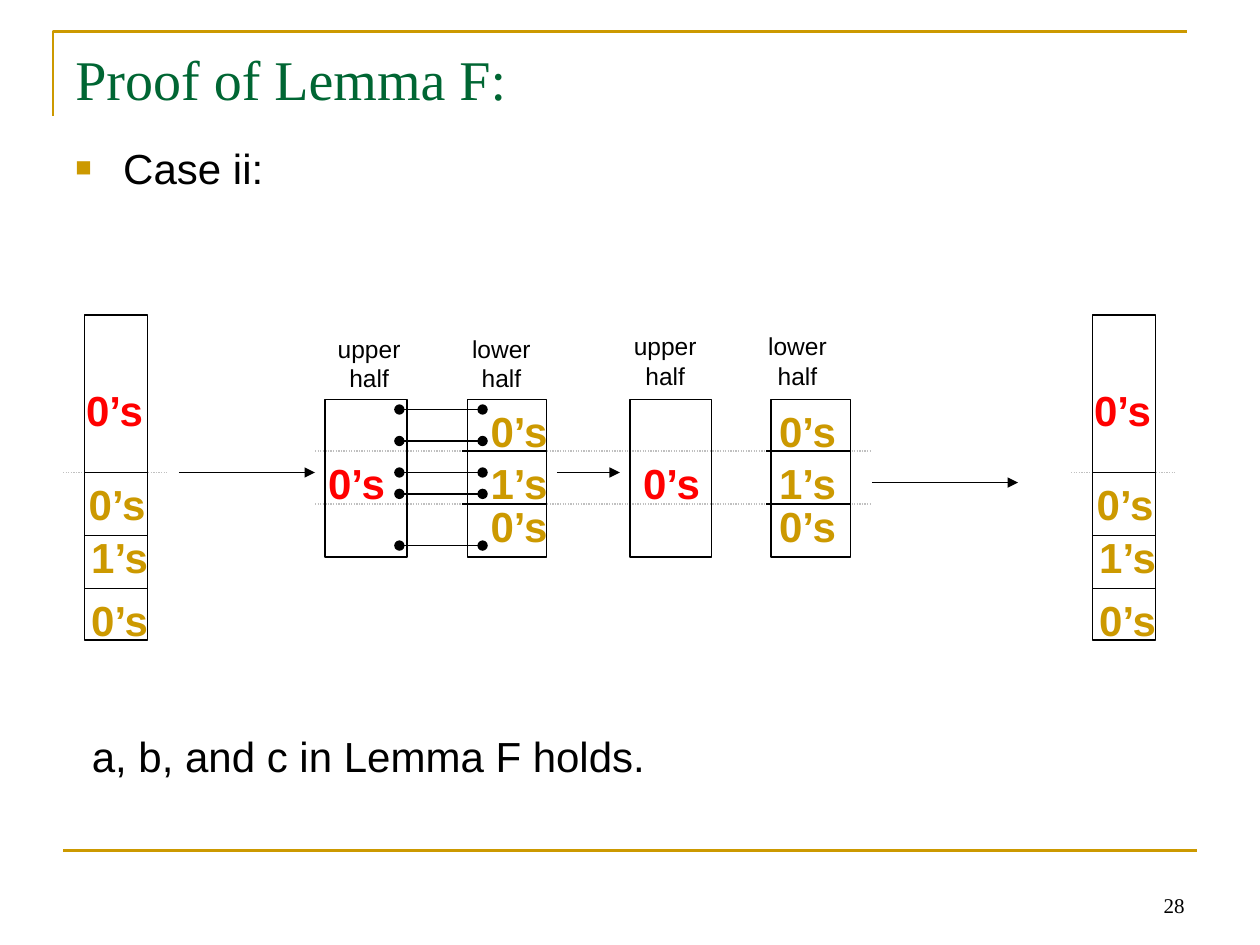
from dataclasses import dataclass

from lxml import etree
from pptx import Presentation
from pptx.dml.color import RGBColor
from pptx.enum.dml import MSO_LINE
from pptx.enum.shapes import MSO_CONNECTOR, MSO_SHAPE
from pptx.enum.text import MSO_ANCHOR, MSO_AUTO_SIZE, PP_ALIGN
from pptx.oxml.ns import qn
from pptx.util import Inches, Pt

STRAIGHT = MSO_CONNECTOR.STRAIGHT
RECT = MSO_SHAPE.RECTANGLE
DOTS = MSO_LINE.ROUND_DOT
TOP, BOTTOM = MSO_ANCHOR.TOP, MSO_ANCHOR.BOTTOM
GROW = MSO_AUTO_SIZE.SHAPE_TO_FIT_TEXT
LEFT, MID, RIGHT = PP_ALIGN.LEFT, PP_ALIGN.CENTER, PP_ALIGN.RIGHT


@dataclass(frozen=True)
class Theme:
    gold: str = "CC9900"
    green: str = "006633"
    red: str = "FF0000"
    black: str = "000000"
    gray: str = "C0C0C0"
    sans: str = "Arial"
    serif: str = "Times New Roman"
    title: int = 32
    text: int = 24
    label: int = 14
    number: int = 12
    thin: float = 0.75
    thick: float = 1.5


@dataclass(frozen=True)
class Mark:
    """A bold run label, placed relative to its column."""
    text: str
    x: float
    y: float
    color: str


@dataclass(frozen=True)
class Column:
    x: float
    y: float
    width: float
    height: float
    marks: tuple[Mark, ...]
    cuts: tuple[float, ...] = ()
    over: float = 0  # how far the cuts reach out on the left
    head: str = ""
    head_x: float = 0
    head_y: float = 0


THEME = Theme()

FULL = (Mark("0’s", -0.09, 3, THEME.red), Mark("0’s", -0.07, 3.75, THEME.gold),
        Mark("1’s", -0.05, 4.17, THEME.gold), Mark("0’s", -0.05, 4.67, THEME.gold))
FULL_CUTS = (3.75, 4.25, 4.67)
HALF_CUTS = (3.58, 4)


def full(x: float) -> Column:
    return Column(x, 2.5, 0.5, 2.58, FULL, FULL_CUTS)


def upper(x: float, shift: float, head_x: float, head_y: float) -> Column:
    marks = (Mark("0’s", shift, 3.58, THEME.red),)
    return Column(x, 3.17, 0.65, 1.25, marks, head="upper",
                  head_x=head_x, head_y=head_y)


def lower(x: float, shift: float, head_x: float, head_y: float) -> Column:
    rows = (("0’s", 3.17), ("1’s", 3.58), ("0’s", 3.92))
    marks = tuple(Mark(text, shift, y, THEME.gold) for text, y in rows)
    return Column(x, 3.17, 0.63, 1.25, marks, HALF_CUTS, 0.04, "lower",
                  head_x, head_y)


COLUMNS = (full(0.67), upper(2.58, -0.08, 2.58, 2.6), lower(3.71, 0.08, 3.63, 2.6),
           upper(5, 0, 4.93, 2.58), lower(6.12, -0.04, 5.98, 2.58), full(8.67))
ARROWS = ((1.42, 2.5, 3.75), (4.42, 4.92, 3.75), (6.92, 8.08, 3.83))
GUIDES = ((0.5, 1.33, 3.75), (8.5, 9.33, 3.75), (2.5, 6.92, 3.58), (2.5, 6.92, 4))
PAIRS = (3.25, 3.5, 3.75, 3.92, 4.33)


def paint(line, color: str, width: float) -> None:
    line.color.rgb = RGBColor.from_string(color)
    line.width = Pt(width)


def add_line(slide, x1: float, x2: float, y: float, color: str = THEME.black,
             width: float = THEME.thin, head: str = "", tail: str = "",
             dash=None) -> None:
    """Draw a level line; head and tail name the end marks."""
    line = slide.shapes.add_connector(STRAIGHT, Inches(x1), Inches(y),
                                      Inches(x2), Inches(y))
    paint(line.line, color, width)
    if dash is not None:
        line.line.dash_style = dash
    props = line._element.spPr
    for tag, kind in (("a:headEnd", head), ("a:tailEnd", tail)):
        if kind:
            etree.SubElement(props.find(qn("a:ln")), qn(tag), type=kind)
    etree.SubElement(props, qn("a:effectLst"))


def add_text(slide, text: str, x: float, y: float, width: float, height: float,
             size: int, color: str = THEME.black, font: str = THEME.sans,
             align=LEFT, bold: bool = False, wrap: bool = False, anchor=TOP):
    box = slide.shapes.add_textbox(Inches(x), Inches(y), Inches(width), Inches(height))
    frame = box.text_frame
    frame.word_wrap = wrap
    frame.vertical_anchor = anchor
    if not wrap:
        frame.auto_size = GROW
    frame.text = text
    for para in frame.paragraphs:
        para.alignment = align
        for run in para.runs:
            run.font.name = font
            run.font.size = Pt(size)
            run.font.bold = bold
            run.font.color.rgb = RGBColor.from_string(color)
    return frame


def add_bullet(para) -> None:
    props = para._p.get_or_add_pPr()
    props.set("marL", str(Inches(0.38)))
    props.set("indent", str(-Inches(0.38)))
    color = etree.SubElement(props, qn("a:buClr"))
    etree.SubElement(color, qn("a:srgbClr"), val=THEME.gold)
    etree.SubElement(props, qn("a:buSzPct"), val="65000")
    etree.SubElement(props, qn("a:buFont"), typeface=THEME.sans)
    etree.SubElement(props, qn("a:buChar"), char="■")


def add_column(slide, col: Column) -> None:
    box = slide.shapes.add_shape(RECT, Inches(col.x), Inches(col.y),
                                 Inches(col.width), Inches(col.height))
    box.shadow.inherit = False
    box.fill.background()
    paint(box.line, THEME.black, THEME.thin)
    for y in col.cuts:
        add_line(slide, col.x - col.over, col.x + col.width, y)
    for mark in col.marks:
        add_text(slide, mark.text, col.x + mark.x, mark.y, 0.66, 0.5, THEME.text,
                 mark.color, align=MID, bold=True)
    if col.head:
        add_text(slide, f"{col.head}\nhalf", col.head_x, col.head_y, 0.7, 0.57,
                 THEME.label, align=MID)


def add_frame(slide) -> None:
    """Draw the gold corner and the gold foot line."""
    pen = slide.shapes.build_freeform(Inches(0.42), Inches(0.92))
    pen.add_line_segments([(Inches(0.42), Inches(0.25)),
                           (Inches(9.42), Inches(0.25))], close=False)
    corner = pen.convert_to_shape()
    corner.shadow.inherit = False
    corner.fill.background()
    paint(corner.line, THEME.gold, THEME.thick)
    add_line(slide, 0.5, 9.5, 6.75, THEME.gold, THEME.thick)


def main() -> None:
    deck = Presentation()
    deck.slide_width, deck.slide_height = Inches(10), Inches(7.5)
    slide = deck.slides.add_slide(deck.slide_layouts[6])
    add_frame(slide)
    add_text(slide, "28", 7.17, 6.83, 2.33, 0.5, THEME.number, font=THEME.serif,
             align=RIGHT, wrap=True, anchor=BOTTOM)
    add_text(slide, "Proof of Lemma F:", 0.5, 0.3, 9, 1.25, THEME.title,
             THEME.green, THEME.serif, wrap=True)
    body = add_text(slide, "Case ii:", 0.5, 1.08, 9, 4.95, THEME.text, wrap=True)
    add_bullet(body.paragraphs[0])
    for x1, x2, y in GUIDES:
        add_line(slide, x1, x2, y, THEME.gray, dash=DOTS)
    for col in COLUMNS:
        add_column(slide, col)
    for y in PAIRS:
        add_line(slide, 3.17, 3.83, y, head="oval", tail="oval")
    for x1, x2, y in ARROWS:
        add_line(slide, x1, x2, y, tail="triangle")
    add_text(slide, "a, b, and c in Lemma F holds.", 0.63, 5.75, 4.59, 0.5, THEME.text)
    deck.save("out.pptx")


if __name__ == "__main__":
    main()
